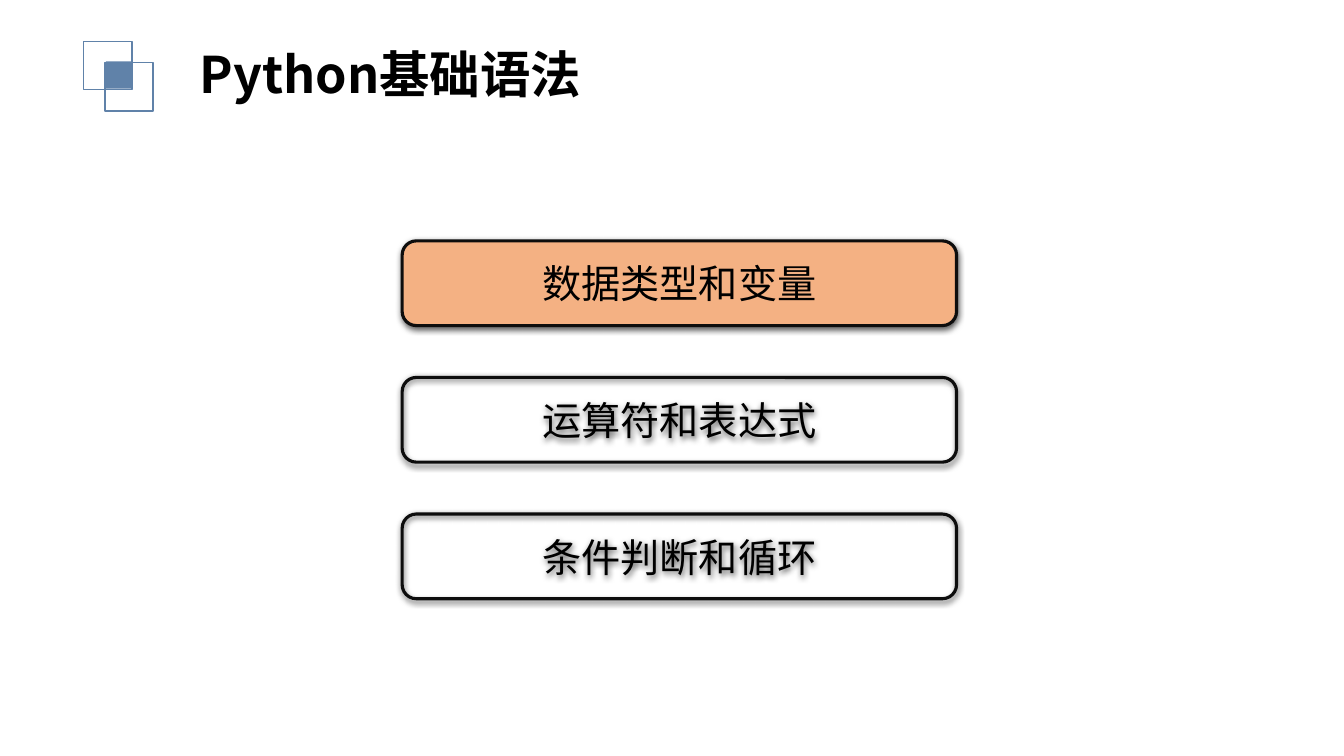
from lxml.etree import SubElement
from pptx import Presentation
from pptx.dml.color import RGBColor
from pptx.enum.shapes import MSO_SHAPE
from pptx.enum.text import MSO_ANCHOR, MSO_AUTO_SIZE, PP_ALIGN
from pptx.oxml.ns import qn
from pptx.util import Pt

TITLE = "Python基础语法"
TOPICS = ["数据类型和变量", "运算符和表达式", "条件判断和循环"]
CURRENT_TOPIC = 0
FONT = "Noto Sans CJK SC"
COLORS = {"blue": "6082A9", "orange": "F4B183", "outline": "0D0D0D", "text": "000000"}

LOGO_SQUARES = [
    (59.76, 29.52, 34.56, 34.56, False),
    (74.88, 44.64, 34.56, 34.56, False),
    (75.6, 43.92, 18, 19.44, True),
]
TITLE_BOX = (135.36, 26.64, 296.64, 51.12)
TOPIC_LEFT, TOPIC_TOP, TOPIC_W, TOPIC_H = 287.28, 172.08, 396, 60.48
TOPIC_STEP = 97.56


def rgb(name):
    return RGBColor.from_string(COLORS[name])


def add_box(slide, kind, box, fill=None, line=None, width=1):
    sp = slide.shapes.add_shape(kind, *map(Pt, box))
    sp.shadow.inherit = False
    if fill:
        sp.fill.solid()
        sp.fill.fore_color.rgb = rgb(fill)
    else:
        sp.fill.background()
    if line:
        sp.line.color.rgb = rgb(line)
        sp.line.width = Pt(width)
    else:
        sp.line.fill.background()
    return sp


def write(sp, text, size, align, bold=False):
    tf = sp.text_frame
    tf.text = text
    tf.vertical_anchor = MSO_ANCHOR.MIDDLE
    p = tf.paragraphs[0]
    p.alignment = align
    r = p.runs[0]
    r.font.size = Pt(size)
    r.font.bold = bold
    r.font.color.rgb = rgb("text")
    r.font.name = FONT
    SubElement(r.font._element, qn("a:ea"), typeface=FONT)


def add_shadow(sp):
    effects = sp._element.spPr.find(qn("a:effectLst"))
    shadow = SubElement(effects, qn("a:outerShdw"), blurRad=str(Pt(4.5)),
                        dist=str(Pt(1.5)), dir="5400000", rotWithShape="0")
    color = SubElement(shadow, qn("a:srgbClr"), val=COLORS["text"])
    SubElement(color, qn("a:alpha"), val="63000")


def main():
    prs = Presentation()
    prs.slide_width, prs.slide_height = Pt(960), Pt(540)
    s = prs.slides.add_slide(prs.slide_layouts[5])

    for *box, solid in LOGO_SQUARES:
        add_box(s, MSO_SHAPE.RECTANGLE, box,
                fill="blue" if solid else None, line=None if solid else "blue")

    title = s.shapes.title
    title.left, title.top, title.width, title.height = map(Pt, TITLE_BOX)
    write(title, TITLE, 36, PP_ALIGN.LEFT, bold=True)
    title.text_frame.word_wrap = False
    title.text_frame.auto_size = MSO_AUTO_SIZE.NONE

    for i, topic in enumerate(TOPICS):
        box = (TOPIC_LEFT, TOPIC_TOP + i * TOPIC_STEP, TOPIC_W, TOPIC_H)
        sp = add_box(s, MSO_SHAPE.ROUNDED_RECTANGLE, box,
                     fill="orange" if i == CURRENT_TOPIC else None,
                     line="outline", width=2.25)
        add_shadow(sp)
        write(sp, topic, 28, PP_ALIGN.CENTER)

    prs.save("out.pptx")


if __name__ == "__main__":
    main()
